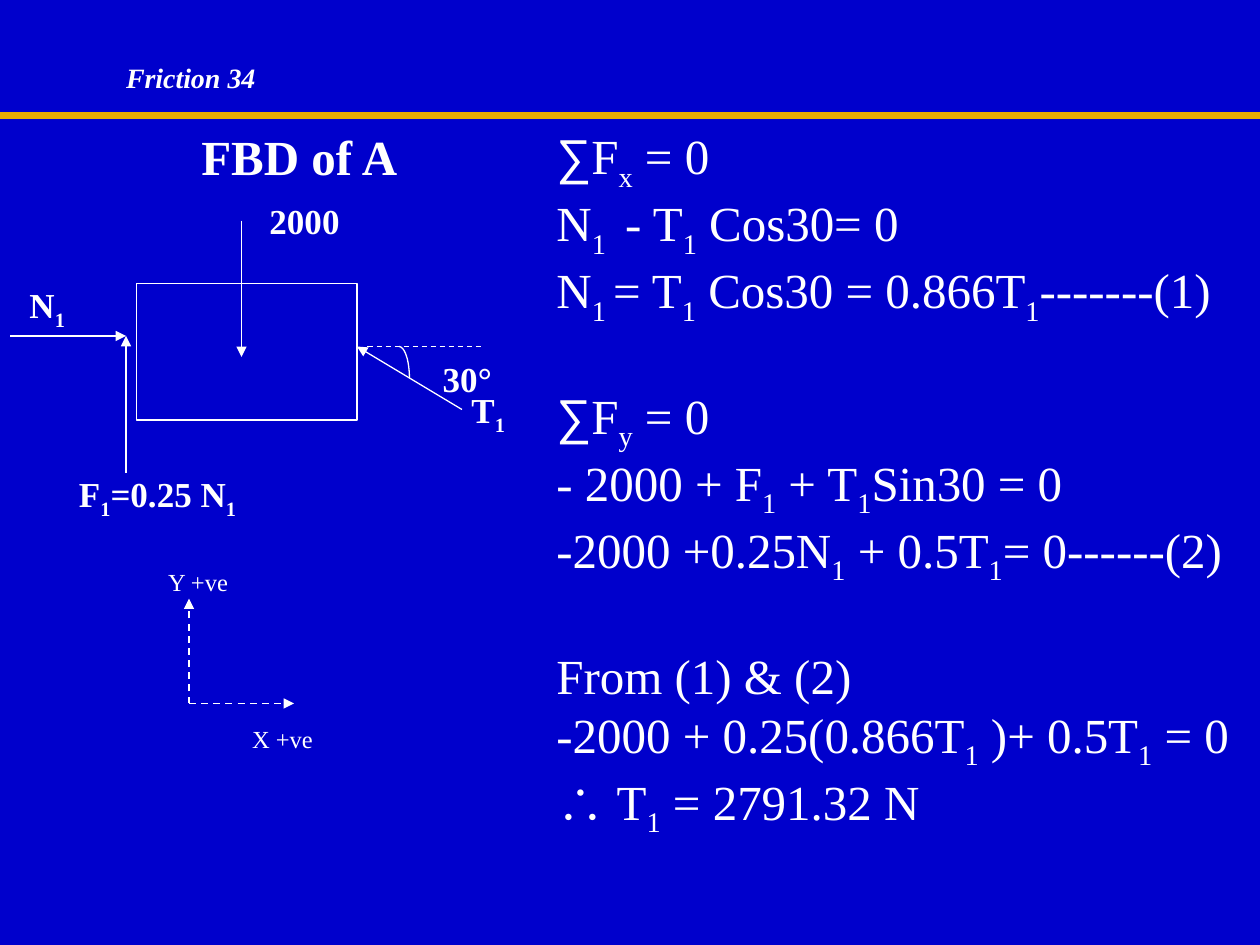
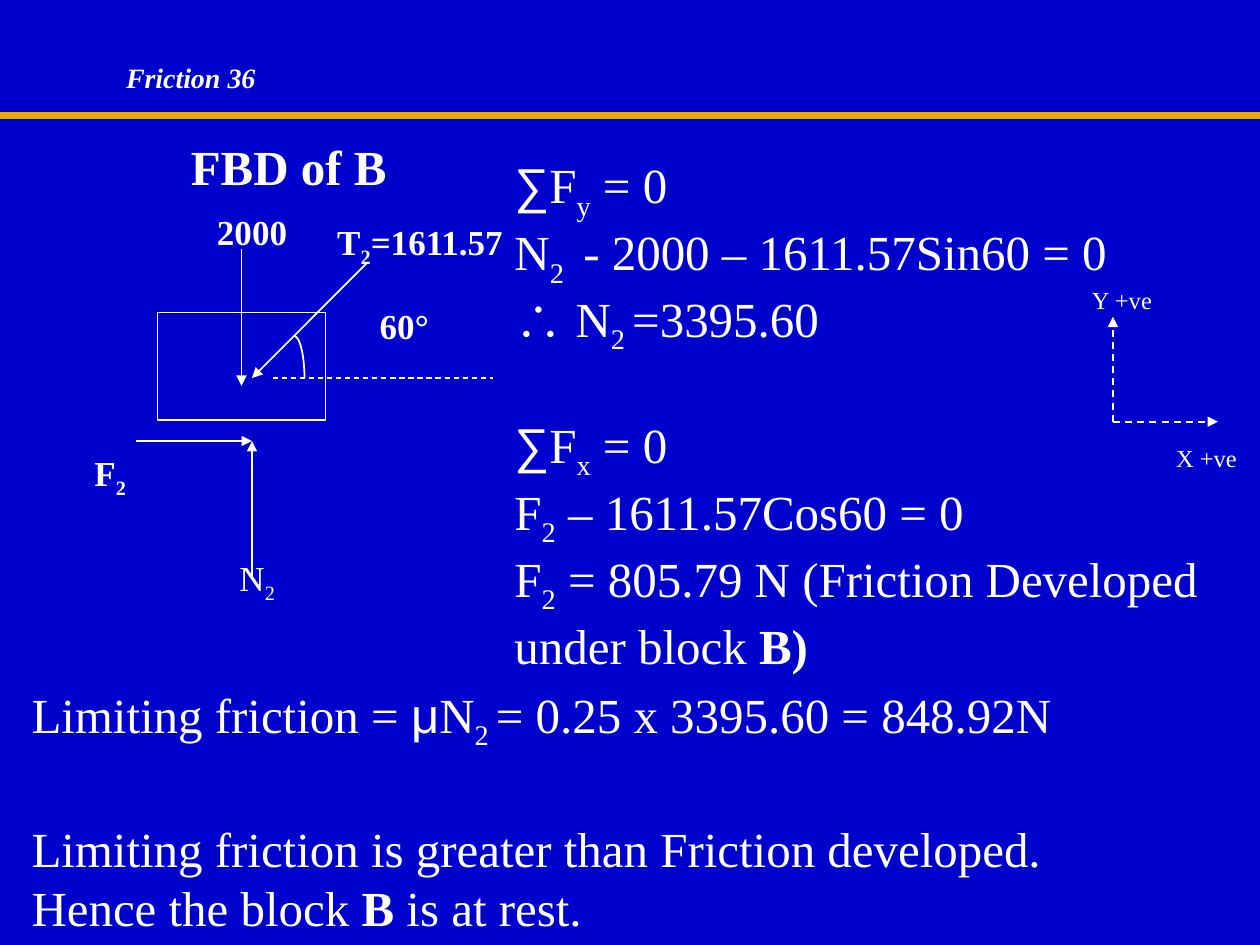
"""Build two free-body-diagram slides on block friction."""
from itertools import groupby
from math import cos, pi, sin

from pptx import Presentation
from pptx.dml.color import RGBColor
from pptx.enum import dml, shapes, text
from pptx.oxml import ns, xmlchemy as xml
from pptx.util import Pt

BLUE = RGBColor(0x00, 0x00, 0xCC)
GOLD = RGBColor(0xE8, 0xAB, 0x00)
WHITE = RGBColor(0xFF, 0xFF, 0xFF)
LEFT, MID = text.PP_ALIGN.LEFT, text.PP_ALIGN.CENTER
FRAME = dict(margin_left=0, margin_right=0, margin_top=0, margin_bottom=0,
             word_wrap=True, vertical_anchor=text.MSO_ANCHOR.TOP,
             auto_size=text.MSO_AUTO_SIZE.NONE)
HEAD = dict(size=Pt(28), bold=True)
BODY = dict(size=Pt(28), bold=False)
LABEL = dict(size=Pt(20), bold=True)
PLAIN = dict(size=Pt(20), bold=False)
AXIS = dict(size=Pt(14), bold=False)
PAGE = dict(size=Pt(16), bold=True, italic=True)


def write(shape, spot, lines, style, align=LEFT, gaps={}):
    """Place a text shape; ~ marks subscripts and * marks bold words."""
    shape.left, shape.top, shape.width, shape.height = map(Pt, spot)
    frame = shape.text_frame
    for key, val in FRAME.items():
        setattr(frame, key, val)
    for row, line in enumerate(lines):
        para = frame.paragraphs[0] if row == 0 else frame.add_paragraph()
        para.alignment = align
        para.space_before = Pt(gaps.get(row, 0))
        for i, part in enumerate(line.split("~")):
            for j, bit in enumerate(part.split("*")):
                for sign, group in groupby(bit, lambda c: c in "∑∴μ"):
                    run = para.add_run()
                    run.text = "".join(group)
                    font = run.font
                    for key, val in style.items():
                        setattr(font, key, val)
                    font.name = "Arial" if sign else "Times New Roman"
                    font.color.rgb = WHITE
                    if j % 2:
                        font.bold = True
                    if i % 2:
                        run._r.get_or_add_rPr().set("baseline", "-25000")


def draw(slide, ends, width=0.75, color=WHITE, dash=False, tip=True):
    """Draw a straight line, with an arrowhead if asked."""
    line = slide.shapes.add_connector(shapes.MSO_CONNECTOR.STRAIGHT, *map(Pt, ends))
    line.line.width = Pt(width)
    line.line.color.rgb = color
    if dash:
        line.line.dash_style = dml.MSO_LINE.DASH
    if tip:
        tail = xml.OxmlElement("a:tailEnd")
        tail.set("type", "triangle")
        line.line._get_or_add_ln().append(tail)
    line._element.find(ns.qn("p:spPr")).append(xml.OxmlElement("a:effectLst"))


SLIDES = [
    dict(page="Friction 34", title="FBD of A", head=(78, 72, 186, 34),
         block=(78, 162, 126, 78), arc=(228, 198, 6, 18, 0.75), axes=(108, 402),
         level=(210, 198, 276, 198),
         forces=[((138, 126, 138, 204), 0.75), ((264, 234, 204, 198), 0.75),
                 ((72, 270, 72, 192), 0.75), ((6, 192, 72, 192), 0.75)],
         labels=[("30°", (240, 204, 54, 24), LABEL),
                 ("F~1~=0.25 N~1~", (24, 270, 132, 27), LABEL),
                 ("N~1~", (6, 162, 42, 27), LABEL),
                 ("2000", (126, 114, 96, 24), LABEL),
                 ("T~1~", (258, 222, 42, 27), LABEL)],
         texts=[((318, 72, 402, 441), {3: 33.7, 6: 33.7},
                 ["∑F~x~ = 0",
                  "N~1 ~ - T~1~ Cos30= 0",
                  "N~1 ~= T~1~ Cos30 = 0.866T~1~-------(1)",
                  "∑F~y~ = 0",
                  "- 2000 + F~1~ + T~1~Sin30 = 0",
                  "-2000 +0.25N~1~ + 0.5T~1~= 0------(2)",
                  "From (1) & (2)",
                  "-2000 + 0.25(0.866T~1~ )+ 0.5T~1~ = 0",
                  "∴ T~1~ = 2791.32 N"])]),
    dict(page="Friction 36", title="FBD of B", head=(72, 78, 186, 34),
         block=(90, 178.5, 96, 61.5), arc=(168, 192, 6, 24, 1), axes=(636, 241),
         level=(156, 216, 282, 216),
         forces=[((138, 142.5, 138, 220.5), 0.75), ((210, 150, 144, 216), 1),
                 ((144, 330, 144, 252), 0.75), ((78, 252, 144, 252), 0.75)],
         labels=[("60°", (204, 174, 54, 24), LABEL),
                 ("T~2~=1611.57", (174, 126, 132, 27), LABEL),
                 ("F~2~", (42, 258, 42, 27), LABEL),
                 ("2000", (96, 120, 96, 24), LABEL),
                 ("N~2~", (132, 318, 30, 27), PLAIN)],
         texts=[((294, 88.5, 426, 297), {3: 33.7},
                 ["∑F~y~ = 0",
                  "N~2 ~ - 2000 – 1611.57Sin60 = 0",
                  "*∴* N~2 ~=3395.60",
                  "∑F~x~ = 0",
                  "F~2~ – 1611.57Cos60 = 0",
                  "F~2~ = 805.79 N (Friction Developed under block *B)*"]),
                ((18, 391, 702, 144), {1: 38.7},
                 ["Limiting friction = μN~2 ~= 0.25 x 3395.60 = 848.92N",
                  "Limiting friction is greater than Friction developed.",
                  "Hence the block *B* is at rest."])]),
]

deck = Presentation()
deck.slide_width, deck.slide_height = Pt(720), Pt(540)
fill = deck.slide_master.background.fill
fill.solid()
fill.fore_color.rgb = BLUE

for item in SLIDES:
    slide = deck.slides.add_slide(deck.slide_layouts[5])
    pool = slide.shapes
    draw(slide, (-2, 66, 720, 66), 4.5, GOLD, tip=False)
    write(pool.title, item["head"], [item["title"]], HEAD, MID)
    write(pool.add_textbox(0, 0, 0, 0), (72, 34.5, 120, 19.5), [item["page"]], PAGE)

    block = pool.add_shape(shapes.MSO_SHAPE.RECTANGLE, *map(Pt, item["block"]))
    left, top, wide, high, thick = item["arc"]
    turns = [pi / 2 * n / 12 for n in range(13)]
    curve = [(Pt(left + wide * sin(t)), Pt(top + high * (1 - cos(t)))) for t in turns]
    pen = pool.build_freeform(*curve[0])
    pen.add_line_segments(curve[1:], close=False)
    for shape, width in ((block, 0.75), (pen.convert_to_shape(), thick)):
        shape.shadow.inherit = False
        shape.fill.background()
        shape.line.color.rgb = WHITE
        shape.line.width = Pt(width)

    draw(slide, item["level"], dash=True, tip=False)
    for ends, width in item["forces"]:
        draw(slide, ends, width)

    x, y = item["axes"]
    for ends in ((x, y, x, y - 60), (x, y, x + 60, y)):
        draw(slide, ends, 1, dash=True)
    for name, spot in (("X +ve", (x + 36, y + 12, 48, 17)),
                       ("Y +ve", (x - 12, y - 78, 60, 17))):
        write(pool.add_textbox(0, 0, 0, 0), spot, [name], AXIS)

    for name, spot, style in item["labels"]:
        write(pool.add_textbox(0, 0, 0, 0), spot, [name], style, MID)
    for spot, gaps, lines in item["texts"]:
        write(pool.add_textbox(0, 0, 0, 0), spot, lines, BODY, gaps=gaps)

deck.save("out.pptx")
